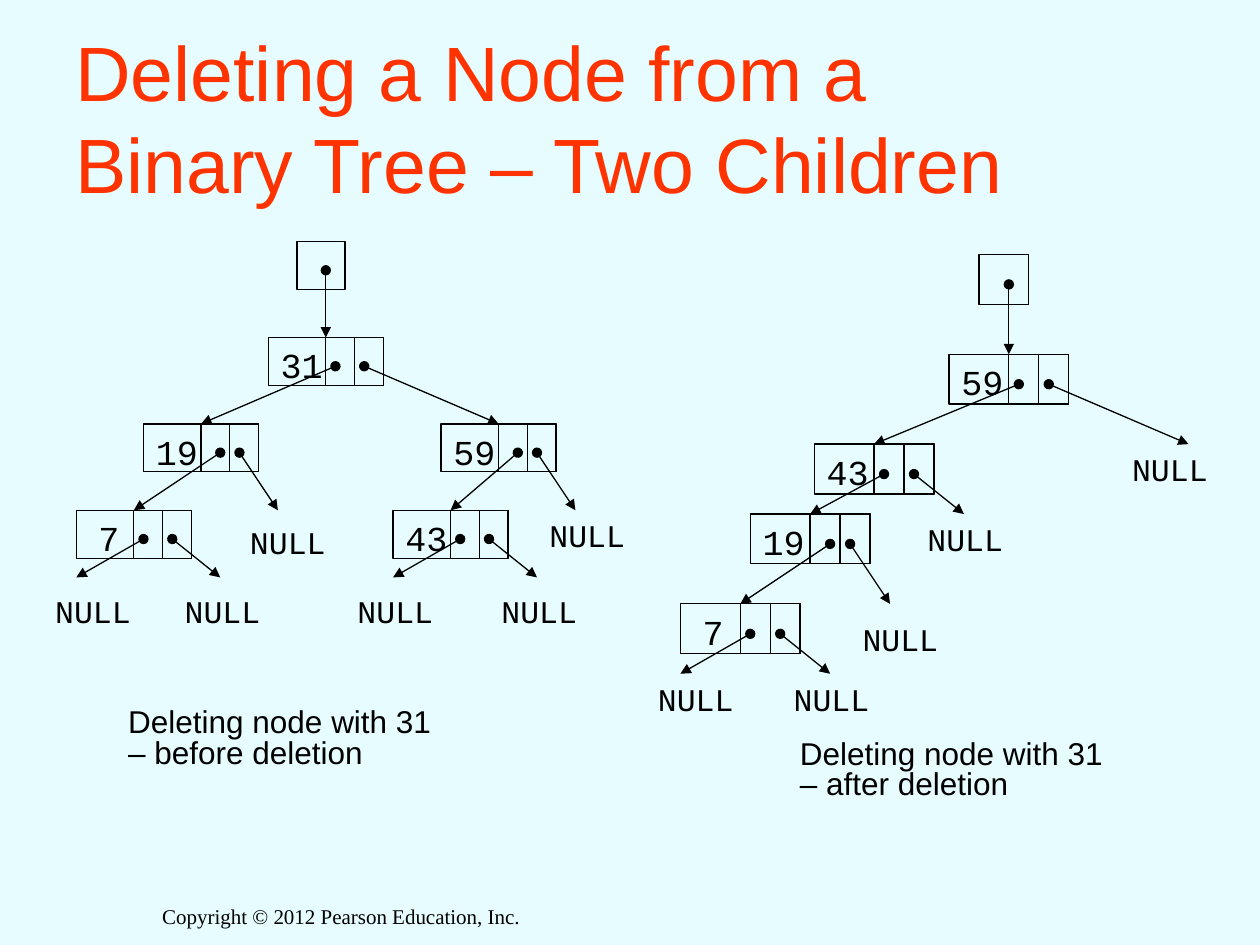
from lxml.etree import SubElement
from pptx import Presentation
from pptx.dml.color import RGBColor
from pptx.enum.shapes import MSO_CONNECTOR as Connector, MSO_SHAPE as Shape
from pptx.enum.text import MSO_ANCHOR as Anchor, PP_ALIGN as Align
from pptx.oxml.ns import qn
from pptx.util import Pt

BACKGROUND = RGBColor(0xE6, 0xFC, 0xFE)
TITLE_RED = RGBColor(0xFF, 0x33, 0x00)
BLACK = RGBColor(0, 0, 0)

TITLE_FONT = {"name": "Arial", "size": Pt(44)}
CAPTION_FONT = {"name": "Arial", "size": Pt(18)}
KEY_FONT = {"name": "Courier New", "size": Pt(20)}
NULL_FONT = {"name": "Courier New", "size": Pt(18)}
FOOTER_FONT = {"name": "Times New Roman", "size": Pt(12)}

NODE_WIDTH, NODE_HEIGHT, FIELD_WIDTH = 12, 5, 3

BEFORE = {
    "31": (20, 10, 7, "19", "59"),
    "59": (38, 19, 8, "43", (52, 28)),
    "19": (7, 19, 8, "7", (21, 28)),
    "7": (0, 28, 7, (0, 35), (15, 35)),
    "43": (33, 28, 7, (33, 35), (48, 35)),
}
BEFORE_NULLS = [(16.8, 28.7), (48, 28), (-3.5, 35.9), (10, 35.9), (28, 35.9), (43, 35.9)]
AFTER = {
    "59": (26.9, 10, 7, "43", (50.9, 19)),
    "43": (13.4, 19, 7, "19", (28.4, 26)),
    "19": (7, 26, 8, "7", (21, 35)),
    "7": (0, 35, 7, (0, 42), (15, 42)),
}
AFTER_NULLS = [(23.5, 26), (44, 19), (-3.5, 42), (10.1, 42), (17, 36)]


def add_text(shapes, box, text, font, color=BLACK, wrap=True, anchor=Anchor.TOP, **layout):
    """Add a text box with one formatted paragraph."""
    frame = shapes.add_textbox(*map(Pt, box)).text_frame
    frame.word_wrap = wrap
    frame.vertical_anchor = anchor
    paragraph = frame.paragraphs[0]
    paragraph.text = text
    for name, value in layout.items():
        setattr(paragraph, name, value)
    for name, value in font.items():
        setattr(paragraph.font, name, value)
    paragraph.font.color.rgb = color


def add_cell(shapes, box):
    """Add an unfilled black rectangle."""
    shape = shapes.add_shape(Shape.RECTANGLE, *map(Pt, box))
    shape.shadow.inherit = False
    shape.fill.background()
    shape.line.color.rgb = BLACK
    shape.line.width = Pt(0.75)
    return shape


def add_pointer(shapes, start, end, target=None):
    """Add a dotted-tail arrow, joined to the top of its target node if any."""
    connector = shapes.add_connector(Connector.STRAIGHT, *map(Pt, (*start, *end)))
    connector.line.color.rgb = BLACK
    connector.line.width = Pt(0.75)
    outline = connector.line._get_or_add_ln()
    for tag, kind in (("a:headEnd", "oval"), ("a:tailEnd", "triangle")):
        SubElement(outline, qn(tag), type=kind)
    SubElement(connector._element.spPr, qn("a:effectLst"))
    if target is not None:
        connector.end_connect(target, 0)


def add_tree(slide, box, nodes, nulls):
    """Draw a linked binary tree on a unit grid that fills the height of the box."""
    left, top, height = box
    unit = height / (max(node[1] for node in nodes.values()) + NODE_HEIGHT)
    shapes = slide.shapes.add_group_shape().shapes

    def point(column, row):
        """Turn a grid position into points."""
        return left + column * unit, top + row * unit

    def cell(column, row, width):
        """Add a rectangle at a grid position."""
        return add_cell(shapes, (*point(column, row), width * unit, NODE_HEIGHT * unit))

    root_column, root_row = next(iter(nodes.values()))[:2]
    cell(root_column + 3, 0, NODE_HEIGHT)
    cells = {}
    for key, (column, row, *_) in nodes.items():
        cells[key] = cell(column, row, NODE_WIDTH)
        for offset in (9, 6):
            cell(column + offset, row, FIELD_WIDTH)

    middle = root_column + NODE_WIDTH / 2
    add_pointer(shapes, point(middle, 3), point(middle, root_row), cells[next(iter(nodes))])
    for key, (column, row, left_dot, *targets) in nodes.items():
        for offset, target in zip((left_dot, 10), targets):
            end = nodes[target][:2] if target in cells else target
            add_pointer(shapes, point(column + offset, row + 3), point(*end), cells.get(target))
        indent = 2 - len(key)
        add_text(shapes, (*point(column + indent, row), 38.6 - 12 * indent, 31.5),
                 key, KEY_FONT, wrap=False)
    for position in nulls:
        add_text(shapes, (*point(*position), 57.8, 29), "NULL", NULL_FONT, wrap=False)


def add_headings(slide):
    """Add the title and the copyright line."""
    add_text(slide.shapes, (78, 512.6, 234, 44), "Copyright © 2012 Pearson Education, Inc.",
             FOOTER_FONT, alignment=Align.CENTER)
    add_text(slide.shapes, (36, 21.6, 648, 90),
             "Deleting a Node from a\vBinary Tree – Two Children",
             TITLE_FONT, TITLE_RED, anchor=Anchor.MIDDLE)


def add_caption(slide, box, stage):
    """Add the caption that tells the stage of the deletion."""
    add_text(slide.shapes, box, f"Deleting node with 31 – {stage} deletion",
             CAPTION_FONT, line_spacing=0.8)


def main():
    """Build and save the presentation."""
    presentation = Presentation()
    presentation.slide_width, presentation.slide_height = Pt(720), Pt(540)
    slide = presentation.slides.add_slide(presentation.slide_layouts[6])
    slide.background.fill.solid()
    slide.background.fill.fore_color.rgb = BACKGROUND
    add_headings(slide)
    add_tree(slide, (43.6, 138, 181), BEFORE, BEFORE_NULLS)
    add_caption(slide, (66.2, 402, 199.4, 41.8), "before")
    add_caption(slide, (450, 419.8, 199.4, 41.8), "after")
    add_tree(slide, (388.8, 145.4, 228.2), AFTER, AFTER_NULLS)
    presentation.save("out.pptx")


if __name__ == "__main__":
    main()
